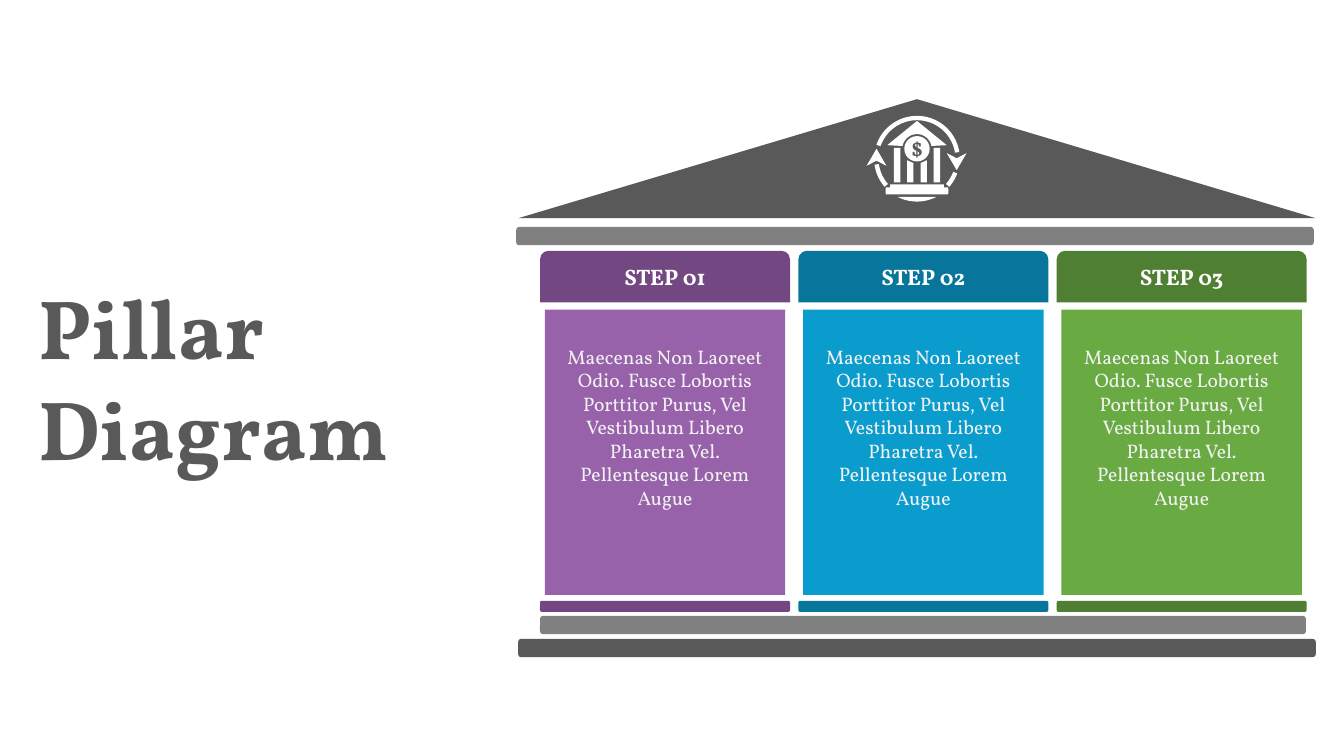
from math import cos, radians, sin

from pptx import Presentation
from pptx.dml.color import RGBColor
from pptx.enum.shapes import MSO_SHAPE as SHAPE
from pptx.enum.text import MSO_ANCHOR as ANCHOR, PP_ALIGN as ALIGN
from pptx.util import Cm, Pt

FONT = "Vollkorn"
DARK, GREY, WHITE, PALE = "595959", "808080", "FFFFFF", "F2F2F2"
BODY = (
    "Maecenas Non Laoreet Odio. Fusce Lobortis Porttitor Purus, Vel "
    "Vestibulum Libero Pharetra Vel. Pellentesque Lorem Augue"
)
PILLARS = [
    ("STEP 01", "734782", "9762AA"),
    ("STEP 02", "08759A", "0A9CCD"),
    ("STEP 03", "4F7F32", "69AA43"),
]
PILLAR_LEFT, PILLAR_WIDTH, PILLAR_PITCH = 13.61, 6.3, 6.51
ICON_X, ICON_Y = 23.11, 4.0
RING_OUT, RING_IN = 1.08, 0.97
COIN_Y, COIN_RADIUS, COIN_GAP = -0.25, 0.32, 0.37


def rgb(color):
    return RGBColor.from_string(color)


def paint(sp, color):
    sp.shadow.inherit = False
    sp.fill.solid()
    sp.fill.fore_color.rgb = rgb(color)
    sp.line.fill.background()


def add_block(s, kind, x, y, w, h, color):
    sp = s.shapes.add_shape(kind, Cm(x), Cm(y), Cm(w), Cm(h))
    paint(sp, color)
    return sp


def add_run(p, text, size, color, bold):
    r = p.add_run()
    r.text = text
    r.font.name = FONT
    r.font.size = Pt(size)
    r.font.bold = bold
    r.font.color.rgb = rgb(color)


def add_text(s, text, x, y, w, h, size, color, bold=False, align=ALIGN.CENTER):
    tf = s.shapes.add_textbox(Cm(x), Cm(y), Cm(w), Cm(h)).text_frame
    tf.word_wrap = True
    p = tf.paragraphs[0]
    p.alignment = align
    add_run(p, text, size, color, bold)


def arc(radius, start, end, cy=0.0, steps=32):
    angles = [radians(start + (end - start) * i / steps) for i in range(steps + 1)]
    return [(radius * cos(a), cy + radius * sin(a)) for a in angles]


def ring(start, end):
    return arc(RING_OUT, start, end) + arc(RING_IN, end, start)


def arrow(x, tip, sign):
    wing, notch = tip + sign * 0.43, tip + sign * 0.3
    return [(x, tip), (x + 0.25, wing), (x, notch), (x - 0.25, wing)]


def column(center, left_top, right_top):
    left, right = center - 0.08, center + 0.08
    return [(left, left_top), (right, right_top), (right, 0.6), (left, 0.6)]


def add_outline(s, contours, color):
    placed = [
        [(Cm(ICON_X + x), Cm(ICON_Y + y)) for x, y in points] for points in contours
    ]
    builder = s.shapes.build_freeform(*placed[0][0])
    for i, points in enumerate(placed):
        if i:
            builder.move_to(*points[0])
        builder.add_line_segments(points[1:], close=True)
    paint(builder.convert_to_shape(), color)


def add_coin(s):
    size = 2 * COIN_RADIUS
    left, top = ICON_X - COIN_RADIUS, ICON_Y + COIN_Y - COIN_RADIUS
    tf = add_block(s, SHAPE.OVAL, left, top, size, size, WHITE).text_frame
    tf.margin_left = tf.margin_right = tf.margin_top = tf.margin_bottom = 0
    tf.word_wrap = False
    tf.vertical_anchor = ANCHOR.MIDDLE
    p = tf.paragraphs[0]
    p.alignment = ALIGN.CENTER
    add_run(p, "$", 14, DARK, True)


def add_bank_icon(s):
    roof = [(0, -0.95), (0.75, -0.34)]
    roof += arc(COIN_GAP, 349, 191, COIN_Y) + [(-0.75, -0.34)]
    contours = [
        ring(199, 351), ring(20, 41), ring(139, 172), arc(RING_OUT, 63, 117),
        arrow(-1.02, -0.25, 1), arrow(1.0, 0.29, -1), roof,
        column(-0.5, -0.27, -0.27), column(-0.17, 0.04, 0.11),
        column(0.17, 0.11, 0.04), column(0.5, -0.27, -0.27),
    ]
    add_outline(s, contours, WHITE)
    add_block(s, SHAPE.RECTANGLE, ICON_X - 0.68, ICON_Y + 0.65, 1.36, 0.1, WHITE)
    add_block(s, SHAPE.ROUNDED_RECTANGLE, ICON_X - 0.79, ICON_Y + 0.72, 1.58, 0.18, WHITE)
    add_coin(s)


def add_pillar(s, x, label, dark, light):
    center = x + PILLAR_WIDTH / 2
    add_block(s, SHAPE.RECTANGLE, center - 3.03, 7.8, 6.06, 7.19, light)
    add_block(s, SHAPE.ROUND_2_SAME_RECTANGLE, x, 6.32, PILLAR_WIDTH, 1.3, dark)
    add_block(s, SHAPE.ROUNDED_RECTANGLE, x, 15.14, PILLAR_WIDTH, 0.28, dark)
    add_text(s, label, center - 1.42, 6.51, 2.84, 0.94, 16, WHITE, bold=True)
    add_text(s, BODY, center - 2.85, 8.56, 5.7, 4.45, 14, PALE)


def main():
    prs = Presentation()
    prs.slide_width, prs.slide_height = Cm(33.87), Cm(19.05)
    s = prs.slides.add_slide(prs.slide_layouts[6])
    add_text(s, "Pillar Diagram", 0.71, 6.83, 10.11, 5.38, 60, DARK, True, ALIGN.LEFT)
    add_block(s, SHAPE.ISOSCELES_TRIANGLE, 13.06, 2.5, 20.1, 3.0, DARK)
    add_block(s, SHAPE.ROUNDED_RECTANGLE, 13.01, 5.72, 20.1, 0.46, GREY)
    for i, pillar in enumerate(PILLARS):
        add_pillar(s, PILLAR_LEFT + i * PILLAR_PITCH, *pillar)
    add_block(s, SHAPE.ROUNDED_RECTANGLE, 13.61, 15.52, 19.3, 0.46, GREY)
    add_block(s, SHAPE.ROUNDED_RECTANGLE, 13.06, 16.1, 20.1, 0.46, DARK)
    add_bank_icon(s)
    prs.save("out.pptx")


if __name__ == "__main__":
    main()
